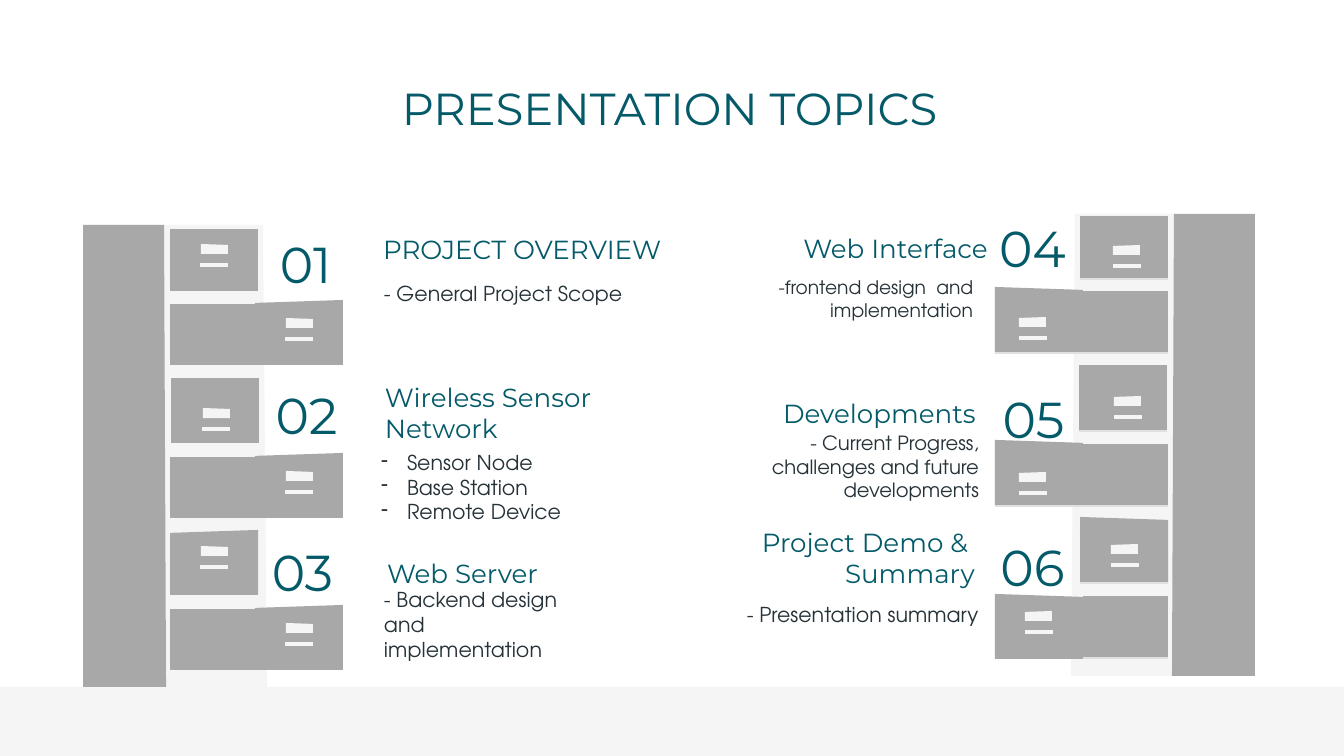
from dataclasses import dataclass

from lxml.etree import SubElement
from pptx import Presentation
from pptx.dml.color import RGBColor
from pptx.enum.shapes import MSO_SHAPE
from pptx.enum.text import MSO_ANCHOR, MSO_AUTO_SIZE, PP_ALIGN
from pptx.oxml.ns import qn
from pptx.util import Pt

EMU_PER_PX = 914400 / 134.4
SLIDE_SIZE = (1344, 756)


@dataclass(frozen=True)
class Theme:
    """Colours, fonts and type sizes of the slide."""
    teal: str = "045A68"
    ink: str = "263238"
    pale: str = "F5F5F5"
    shade: str = "E0E0E0"
    grey: str = "A8A8A8"
    display: str = "Montserrat"
    body: str = "TeX Gyre Adventor"
    title_size: float = 24
    number_size: float = 27
    heading_size: float = 14
    detail_size: float = 11
    inset: int = 13
    bullet_indent: int = 26


@dataclass(frozen=True)
class Topic:
    """One numbered topic, with text boxes relative to its number."""
    number: str
    origin: tuple
    heading: str
    heading_box: tuple
    details: tuple
    detail_box: tuple
    align: PP_ALIGN = PP_ALIGN.LEFT
    detail_size: float = Theme.detail_size


THEME = Theme()
RIGHT = PP_ALIGN.RIGHT
TOPICS = (
    Topic("01", (257, 220), "PROJECT OVERVIEW", (113, -36, 368, 94),
          ("- General Project Scope",), (114, 49, 301, 48)),
    Topic("02", (258, 371), "Wireless Sensor Network", (114, 27, 331, 59),
          ("Sensor Node", "Base Station", "Remote Device"), (110, 85, 301, 62)),
    Topic("03", (254, 528), "Web Server", (120, 16, 301, 58),
          ("- Backend design and implementation",), (117, 53, 219, 87)),
    Topic("04", (984, 204), "Web Interface", (-284, -21, 301, 94),
          ("-frontend design  and implementation",), (-299, 81, 301, 27), RIGHT, 10),
    Topic("05", (985, 375), "Developments", (-297, -28, 301, 95),
          ("- Current Progress, challenges and future developments",),
          (-294, 78, 301, 27), RIGHT, 10.5),
    Topic("06", (984, 523), "Project Demo &  Summary", (-297, -16, 301, 95),
          ("- Presentation summary",), (-293, 78, 301, 27), RIGHT),
)
DRAWERS = (
    (87, 4, 62, 0), (172, 75, 65, 3),
    (88, 153, 65, 0), (172, 228, 65, 3),
    (87, 305, 65, 3), (172, 380, 65, 3),
)
LEFT_HANDLES = ((31, 15), (31, 18), (32, 30), (31, 18), (31, 16), (31, 18))
RIGHT_HANDLES = ((33, 27), (24, 28), (35, 29), (24, 30), (31, 25), (30, 17))


def px(length):
    """Turn px into EMU."""
    return round(length * EMU_PER_PX)


def set_all(target, formats):
    """Set each named format value on the target."""
    for name, value in formats.items():
        setattr(target, name, value)


def paint(shape, color):
    """Give a shape a flat fill without line or shadow."""
    shape.shadow.inherit = False
    shape.fill.solid()
    shape.fill.fore_color.rgb = RGBColor.from_string(color)
    shape.line.fill.background()


def add_bullet(paragraph, color):
    """Give a paragraph a hanging dash."""
    properties = paragraph._p.get_or_add_pPr()
    indent = px(THEME.bullet_indent)
    properties.set("marL", str(indent))
    properties.set("indent", str(-indent))
    bullet_color = SubElement(properties, qn("a:buClr"))
    SubElement(bullet_color, qn("a:srgbClr")).set("val", color)
    SubElement(properties, qn("a:buChar")).set("char", "-")


def write(holder, lines, font, size, color, align, anchor):
    """Write lines into a text holder, as a list if there are several."""
    frame = holder.text_frame
    inset = px(THEME.inset)
    set_all(frame, {
        "word_wrap": True, "auto_size": MSO_AUTO_SIZE.NONE, "vertical_anchor": anchor,
        "margin_left": inset, "margin_right": inset,
        "margin_top": inset, "margin_bottom": inset,
    })
    for index, line in enumerate(lines):
        paragraph = frame.add_paragraph() if index else frame.paragraphs[0]
        if len(lines) > 1:
            add_bullet(paragraph, color)
        paragraph.alignment = align
        run = paragraph.add_run()
        run.text = line
        set_all(run.font, {"name": font, "size": Pt(size), "bold": False})
        run.font.color.rgb = RGBColor.from_string(color)


def add_title(slide, box, wording):
    """Place the title placeholder in its box."""
    title = slide.shapes.title
    set_all(title, dict(zip(("left", "top", "width", "height"), map(px, box))))
    write(title, (wording,), THEME.display, THEME.title_size, THEME.teal,
          PP_ALIGN.CENTER, MSO_ANCHOR.MIDDLE)


def add_floor(slide, box):
    """Draw the pale floor band."""
    paint(slide.shapes.add_shape(MSO_SHAPE.RECTANGLE, *map(px, box)), THEME.pale)


def add_topic(slide, topic):
    """Place number, heading and details around the topic's origin."""
    parts = (
        ((0, 0, 97, 121), (topic.number,), THEME.display, THEME.number_size,
         THEME.teal, PP_ALIGN.CENTER, MSO_ANCHOR.TOP),
        (topic.heading_box, (topic.heading,), THEME.display, THEME.heading_size,
         THEME.teal, topic.align, MSO_ANCHOR.BOTTOM),
        (topic.detail_box, topic.details, THEME.body, topic.detail_size,
         THEME.ink, topic.align, MSO_ANCHOR.MIDDLE),
    )
    left, top = topic.origin
    for (x, y, width, height), *style in parts:
        box = (left + x, top + y, width, height)
        write(slide.shapes.add_textbox(*map(px, box)), *style)


def add_cabinet(slide, box, handles, mirrored=False):
    """Draw a cabinet with closed and open drawers, facing right unless mirrored."""
    left, top, width, height = box

    def panel(points, color):
        """Draw one outline relative to the cabinet box."""
        placed = [(left + (width - x if mirrored else x), top + y) for x, y in points]
        builder = slide.shapes.build_freeform(*placed[0], scale=EMU_PER_PX)
        builder.add_line_segments(placed[1:], close=True)
        paint(builder.convert_to_shape(), color)

    def block(x, y, block_width, block_height, color, rise=0, drop=0):
        """Draw a block whose top edge may slant."""
        end, base = x + block_width, y + block_height
        panel([(x, y + rise), (end, y + drop), (end, base), (x, base)], color)

    def front(x, y, front_width, front_height, rise, lift):
        """Draw a drawer front, above its shade where it is lifted."""
        if lift:
            block(x, y, front_width, front_height, THEME.shade, rise)
        block(x, y - lift, front_width, front_height, THEME.grey, rise)

    panel([(0, 0), (0, height), (width, height), (width - 4, 0)], THEME.pale)
    panel([(0, 0), (0, height), (83, height), (81, 0)], THEME.grey)
    last = len(DRAWERS) - 1
    for index, ((x, y, drawer_height, rise), (across, down)) in enumerate(zip(DRAWERS, handles)):
        lift = 2 if mirrored else 0
        if index % 2:
            front(87, y + 4, 85, 61, 0, lift)
        front(x, y, 88, drawer_height, rise, 0 if index == last else lift)
        handle_x = x + (88 - across - 27 if mirrored else across)
        block(handle_x, y + down, 27, 10, THEME.pale, drop=1)
        block(handle_x - 1, y + down + 19, 28, 4, THEME.pale)


def main():
    """Build and save the topics slide."""
    deck = Presentation()
    deck.slide_width, deck.slide_height = map(px, SLIDE_SIZE)
    slide = deck.slides.add_slide(deck.slide_layouts[5])
    add_floor(slide, (0, 687, 1344, 69))
    add_title(slide, (83, 79, 1173, 57), "PRESENTATION TOPICS")
    add_cabinet(slide, (1071, 214, 184, 462), RIGHT_HANDLES, mirrored=True)
    add_cabinet(slide, (83, 225, 184, 462), LEFT_HANDLES)
    for topic in TOPICS:
        add_topic(slide, topic)
    deck.save("out.pptx")


if __name__ == "__main__":
    main()
